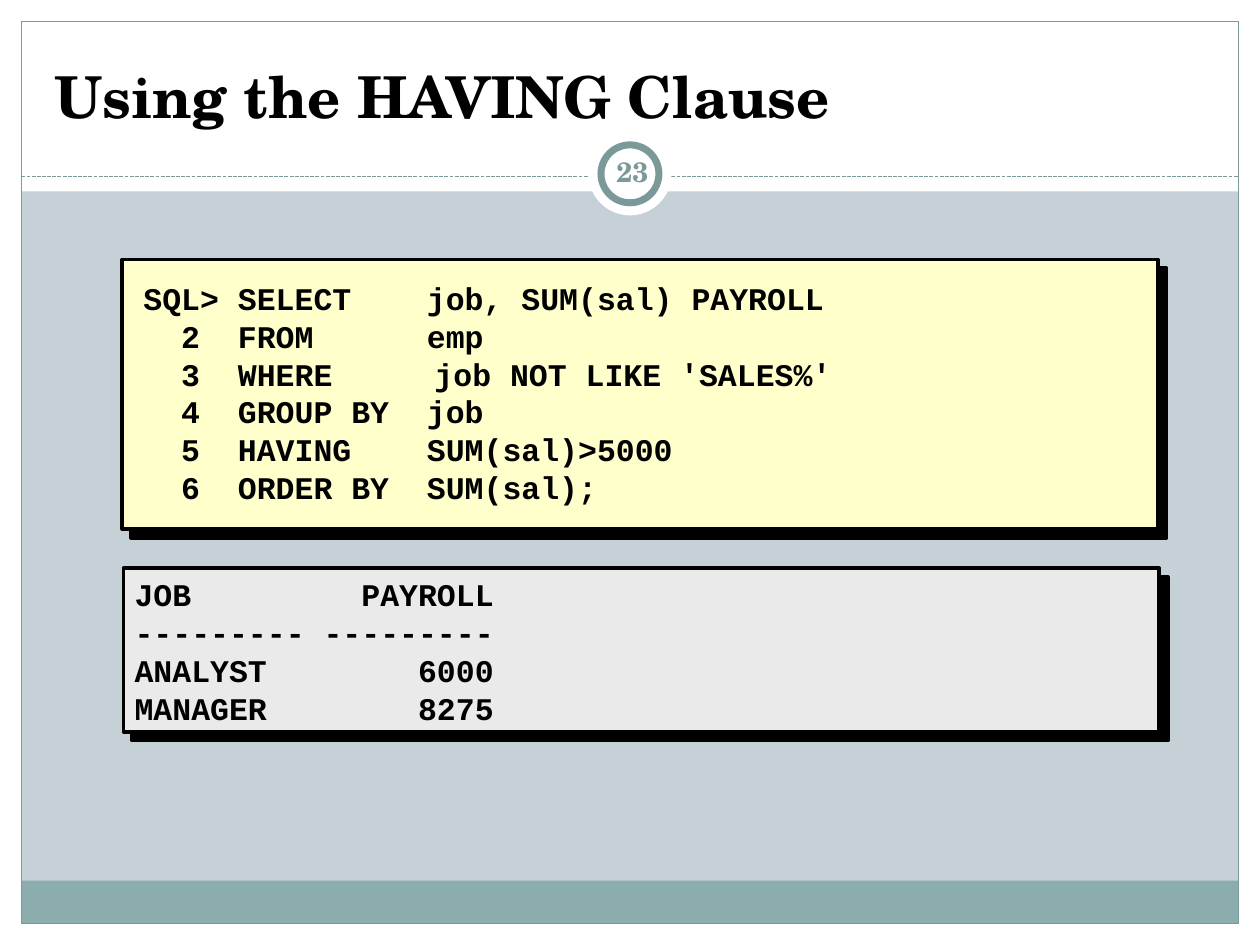
from lxml import etree
from pptx import Presentation
from pptx import util as u
from pptx.dml.color import RGBColor
from pptx.enum import dml, shapes, text
from pptx.oxml.ns import qn

PX = 9144  # 100 px to the inch
WIDTH, HEIGHT = 1000, 750
EDGE = 17

WHITE = RGBColor(0xFF, 0xFF, 0xFF)
BLACK = RGBColor(0, 0, 0)
PALE_BLUE = RGBColor(0xC5, 0xD1, 0xD7)
TEAL = RGBColor(0x8C, 0xAD, 0xAE)
DARK_TEAL = RGBColor(0x7C, 0x99, 0x9A)
CREAM = RGBColor(0xFF, 0xFF, 0xCC)
GREY = RGBColor(0xEA, 0xEA, 0xEA)

SERIF, MONO = "TeX Gyre Schola", "Courier New"
TITLE_STYLE = {"name": SERIF, "size": u.Pt(33), "bold": True}
NUMBER_STYLE = {"name": SERIF, "size": u.Pt(16), "bold": True}
CODE_STYLE = {"name": MONO, "size": u.Pt(18), "bold": True}
CODE_TABS = (75, 201)

QUERY = [
    "SQL> SELECT    job, SUM(sal) PAYROLL",
    "  2  FROM      emp",
    "  3  WHERE\t  job NOT LIKE 'SALES%'",
    "  4  GROUP BY  job",
    "  5  HAVING    SUM(sal)>5000",
    "  6  ORDER BY  SUM(sal);",
]
RESULT = [
    "JOB         PAYROLL",
    "--------- ---------",
    "ANALYST        6000",
    "MANAGER        8275",
]


def px(*lengths):
    return [length * PX for length in lengths]


def style_font(font, style, color):
    for key, value in style.items():
        setattr(font, key, value)
    font.color.rgb = color


def add_block(page, box, fill=None, line=None, weight=0.75,
              kind=shapes.MSO_SHAPE.RECTANGLE):
    block = page.shapes.add_shape(kind, *px(*box))
    block.shadow.inherit = False
    if fill is None:
        block.fill.background()
    else:
        block.fill.solid()
        block.fill.fore_color.rgb = fill
    if line is None:
        block.line.fill.background()
    else:
        block.line.color.rgb = line
        block.line.width = u.Pt(weight)
    return block


def add_hard_shadow(block):
    effects = block._element.spPr.find(qn("a:effectLst"))
    shadow = etree.SubElement(effects, qn("a:outerShdw"), blurRad="0",
                              dist=str(u.Pt(7.1)), dir="2700000",
                              algn="ctr", rotWithShape="0")
    etree.SubElement(shadow, qn("a:srgbClr"), val=str(BLACK))


def add_text(page, box, lines, style, color, side, align=None, tabs=()):
    holder = page.shapes.add_textbox(*px(*box))
    frame = holder.text_frame
    frame.word_wrap = True
    frame.vertical_anchor = text.MSO_ANCHOR.MIDDLE
    frame.margin_left = frame.margin_right = side * PX
    frame.margin_top = frame.margin_bottom = 5 * PX
    for index, line in enumerate(lines):
        para = frame.add_paragraph() if index else frame.paragraphs[0]
        para.alignment = align
        if tabs:
            stops = etree.SubElement(para._p.get_or_add_pPr(), qn("a:tabLst"))
            for stop in tabs:
                etree.SubElement(stops, qn("a:tab"), pos=str(stop * PX), algn="l")
        span = para.add_run()
        span.text = line
        style_font(span.font, style, color)


def draw_frame(page, box):
    """White margins and header, footer band, thin border, dashed rule."""
    left, top, width, height = box
    right, bottom = left + width, top + height
    inner = width - 2 * EDGE
    margins = [
        (left, bottom - EDGE, width, EDGE),
        (left, top, width, 152),
        (left, top, EDGE, height),
        (right - EDGE, top, EDGE, height),
    ]
    for margin in margins:
        add_block(page, margin, WHITE)
    add_block(page, (left + EDGE, bottom - 51, inner, 34), TEAL)
    add_block(page, (left + EDGE, top + EDGE, inner, height - 2 * EDGE),
              line=DARK_TEAL)

    rule = page.shapes.add_connector(
        shapes.MSO_CONNECTOR.STRAIGHT,
        *px(left + EDGE, top + 140, right - EDGE, top + 140))
    rule.line.color.rgb = DARK_TEAL
    rule.line.width = u.Pt(0.75)
    rule.line.dash_style = dml.MSO_LINE.SQUARE_DOT
    etree.SubElement(rule._element.spPr, qn("a:effectLst"))


def draw_badge(page, box, number):
    """Page number in a ring on a white disc."""
    left, top, width, height = box
    oval = shapes.MSO_SHAPE.OVAL
    add_block(page, box, WHITE, kind=oval)
    add_block(page, (left + 10, top + 10, width - 20, height - 20), WHITE,
              DARK_TEAL, 4, oval)
    add_text(page, (left + 10, top + 7, 50, 48), [number], NUMBER_STYLE,
             DARK_TEAL, 5, text.PP_ALIGN.CENTER)


def place_title(page, box, words):
    title = page.shapes.title
    title.left, title.top, title.width, title.height = px(*box)
    frame = title.text_frame
    frame.text = words
    frame.vertical_anchor = text.MSO_ANCHOR.BOTTOM
    frame.auto_size = text.MSO_AUTO_SIZE.NONE
    para = frame.paragraphs[0]
    para.alignment = text.PP_ALIGN.LEFT
    style_font(para.runs[0].font, TITLE_STYLE, BLACK)
    # Bring the title in front of the header band
    page.shapes._spTree.append(title._element)


def draw_listing(page, box, fill, lines, shift):
    """Panel with a hard shadow; its text box is offset by shift."""
    left, top = box[:2]
    add_hard_shadow(add_block(page, box, fill, BLACK, 2))
    add_text(page, (left + shift[0], top + shift[1], 800, 133), lines,
             CODE_STYLE, BLACK, 10, tabs=CODE_TABS)


def main():
    deck = Presentation()
    deck.slide_width, deck.slide_height = px(WIDTH, HEIGHT)
    page = deck.slides.add_slide(deck.slide_layouts[5])
    page.background.fill.solid()
    page.background.fill.fore_color.rgb = PALE_BLUE

    draw_frame(page, (0, 0, WIDTH, HEIGHT))
    draw_badge(page, (467, 105, 66, 66), "23")
    place_title(page, (33, 25, 933, 83), "Using the HAVING Clause")
    draw_listing(page, (97, 206, 822, 214), CREAM, QUERY, (7, 39))
    draw_listing(page, (98, 451, 822, 130), GREY, RESULT, (-1, -1))
    deck.save("out.pptx")


if __name__ == "__main__":
    main()
